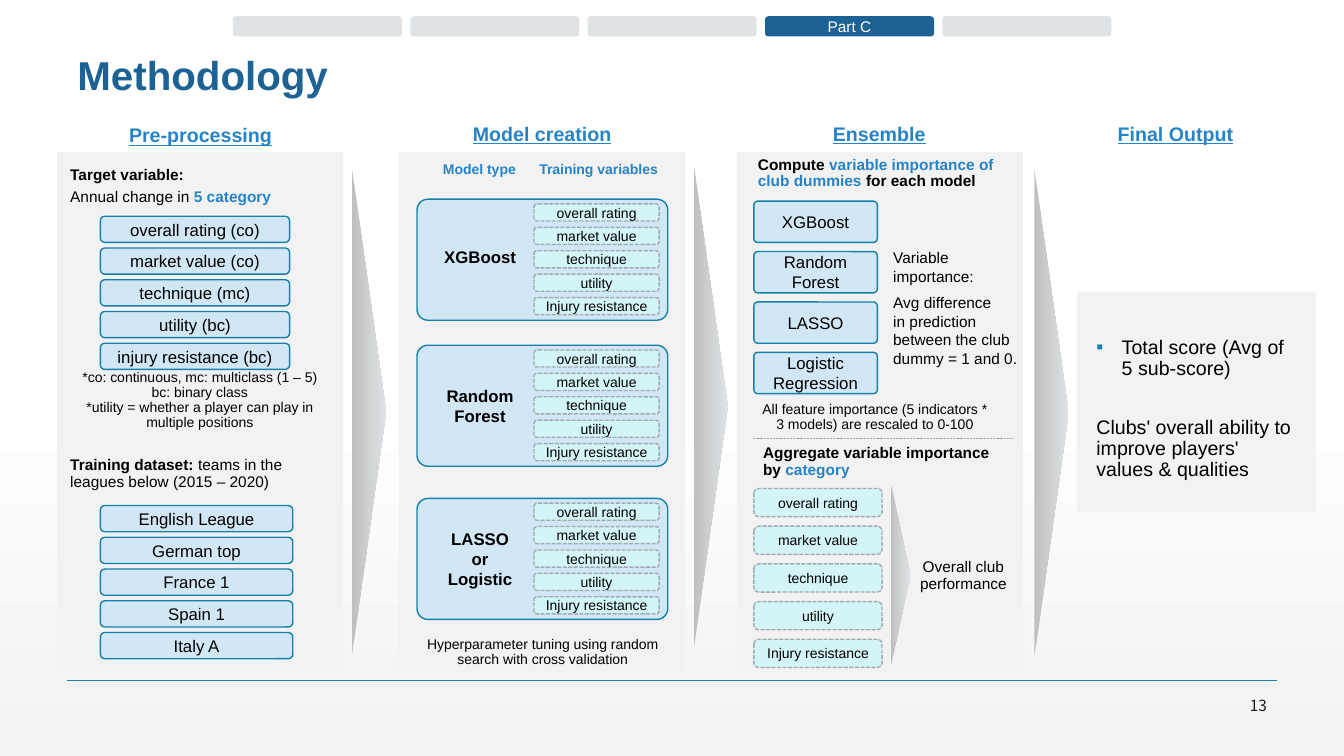
"""Build the Methodology slide: four stages from pre-processing to final output."""
from lxml import etree
from pptx import Presentation
from pptx.dml.color import RGBColor
from pptx.enum.dml import MSO_LINE
from pptx.enum.shapes import MSO_CONNECTOR, MSO_SHAPE
from pptx.enum.text import MSO_ANCHOR, PP_ALIGN
from pptx.oxml.ns import qn
from pptx.util import Cm, Pt

RECT, ROUND, ARROW = MSO_SHAPE.RECTANGLE, MSO_SHAPE.ROUNDED_RECTANGLE, MSO_SHAPE.ISOSCELES_TRIANGLE
STRAIGHT, DASH = MSO_CONNECTOR.STRAIGHT, MSO_LINE.SQUARE_DOT
LEFT, MID, RIGHT = PP_ALIGN.LEFT, PP_ALIGN.CENTER, PP_ALIGN.RIGHT
TOP, CENTER = MSO_ANCHOR.TOP, MSO_ANCHOR.MIDDLE
BLACK, WHITE, BLUE, NAVY = "000000", "FFFFFF", "2683C6", "1D6294"
PALE, EDGE, MINT, GREY = "D1E7F6", "1580A9", "D4F5F7", "A1ACB2"
PANEL, SILVER = "F2F2F2", "DFE3E5"
tint = RGBColor.from_string

deck = Presentation()
deck.slide_width, deck.slide_height = Cm(33.87), Cm(19.05)
slide = deck.slides.add_slide(deck.slide_layouts[6])
shapes = slide.shapes


def box(kind, x, y, w, h, fill, edge=None, dash=None):
    """Add a filled shape without shadow."""
    shape = shapes.add_shape(kind, Cm(x), Cm(y), Cm(w), Cm(h))
    shape.shadow.inherit = False
    shape.fill.solid()
    shape.fill.fore_color.rgb = tint(fill)
    if edge:
        shape.line.color.rgb = tint(edge)
        shape.line.width = Pt(1)
        shape.line.dash_style = dash
    else:
        shape.line.fill.background()
    shape.text_frame.margin_left = shape.text_frame.margin_right = Cm(0.15)
    return shape


def write(shape, paras, size, hue=BLACK, bold=False, align=MID, lead=0.9, anchor=TOP, face="Arial"):
    """Fill a shape with paragraphs, each a string or a list of (text, hue, bold)."""
    frame = shape.text_frame
    frame.word_wrap = True
    frame.vertical_anchor = anchor
    for i, parts in enumerate(paras):
        para = frame.add_paragraph() if i else frame.paragraphs[0]
        para.alignment = align
        para.line_spacing = lead
        para.font.name = face
        para.font.size = Pt(size)
        if isinstance(parts, str):
            para.add_run().text = parts
            para.font.color.rgb = tint(hue)
            para.font.bold = bold
            continue
        for text, shade, heavy in parts:
            run = para.add_run()
            run.text = text
            run.font.color.rgb = tint(shade)
            run.font.bold = heavy
    return frame.paragraphs


back = slide.background.fill
back.gradient()
back.gradient_angle = 270
for stop, hue, place in zip(back.gradient_stops, (WHITE, PANEL), (0.53, 1)):
    stop.color.rgb = tint(hue)
    stop.position = place

for x, y, w, h in [(1.44, 3.83, 7.21, 13.1), (10.05, 3.83, 7.21, 13.1),
                   (18.57, 3.83, 7.21, 13.1), (27.14, 7.37, 6.02, 5.54)]:
    box(RECT, x, y, w, h, PANEL)

for x1, x2, y, hue, width, dash in [(1.7, 32.18, 17.15, "1482AC", 1, None),
                                    (18.97, 25.55, 11.05, GREY, 0.5, DASH)]:
    rule = shapes.add_connector(STRAIGHT, Cm(x1), Cm(y), Cm(x2), Cm(y))
    rule.line.color.rgb = tint(hue)
    rule.line.width = Pt(width)
    rule.line.dash_style = dash
    etree.SubElement(rule._element.spPr, qn("a:effectLst"))

for x, y, w, h in [(3.18, 9.95, 12.24, 0.86), (11.79, 9.82, 12.24, 0.86),
                   (20.38, 9.98, 12.24, 0.86), (20.45, 14.25, 4.5, 0.48)]:
    arrow = box(ARROW, x, y, w, h, SILVER)
    arrow.rotation = 90
    arrow.fill.gradient()
    arrow.fill.gradient_angle = 90
    for stop, hue in zip(arrow.fill.gradient_stops, ("BFBFBF", SILVER)):
        stop.color.rgb = tint(hue)

for i, name in enumerate(["", "", "", "Part C", ""]):
    tab = box(ROUND, 5.87 + 4.47 * i, 0.41, 4.26, 0.51, NAVY if name else SILVER)
    if name:
        write(tab, [name], 11, WHITE, lead=1, anchor=CENTER)

for x, y, w, name in [(2.44, 3.05, 5.23, "Pre-processing"), (11.05, 3.02, 5.23, "Model creation"),
                      (19.29, 3.02, 5.74, "Ensemble"), (27.01, 3.02, 5.23, "Final Output")]:
    head = shapes.add_textbox(Cm(x), Cm(y), Cm(w), Cm(0.74))
    write(head, [name], 14, BLUE, True)[0].font.underline = True

goals = ["overall rating (co)", "market value (co)", "technique (mc)", "utility (bc)",
         "injury resistance (bc)"]
leagues = ["English League", "German top", "France 1", "Spain 1", "Italy A"]
models = ["XGBoost", "Random Forest", "LASSO", "Logistic Regression"]
for names, x, y, w, h, step, curve in [(goals, 2.53, 5.45, 4.77, 0.66, 0.8, 0.17),
                                       (leagues, 2.53, 12.74, 4.85, 0.66, 0.8, 0.17),
                                       (models, 19, 5.07, 3.11, 1.04, 1.27, 0.09)]:
    for i, name in enumerate(names):
        cell = box(ROUND, x, y + step * i, w, h, PALE, EDGE)
        cell.adjustments[0] = curve
        write(cell, [name], 12, lead=1, anchor=CENTER)

stacks = [(19, 12.31, 3.23, 0.71, 0.95)]
for y, lift, lines in [(5.02, 0.07, ["XGBoost"]), (8.7, 0, ["Random", "Forest"]),
                       (12.56, 0, ["LASSO", "or", "Logistic"])]:
    card = box(ROUND, 10.51, y, 6.32, 3.05, PALE, EDGE)
    card.adjustments[0] = 0.09
    label = shapes.add_textbox(Cm(10.88), Cm(y - lift), Cm(2.44), Cm(3.05))
    write(label, lines, 12, bold=True, lead=1, anchor=CENTER)
    stacks.append((13.46, y + 0.12, 3.15, 0.43, 0.59))

traits = ["overall rating", "market value", "technique", "utility", "Injury resistance"]
for x, y, w, h, step in stacks:
    for i, name in enumerate(traits):
        chip = box(ROUND, x, y + step * i, w, h, MINT, GREY, DASH)
        write(chip, [name], 10, lead=1, anchor=CENTER)

notes = [
    (1.44, 9.2, 7.19, 1.35, 10, MID, [
        "*co: continuous, mc: multiclass (1 – 5)", "bc: binary class",
        "*utility = whether a player can play in multiple positions"]),
    (1.52, 11.4, 7.21, 0.97, 11, LEFT, [
        [("Training dataset: ", BLACK, True),
         ("teams in the leagues below (2015 – 2020)", BLACK, False)]]),
    (10.57, 3.96, 3.02, 0.64, 10, MID, [[("Model type", BLUE, True)]]),
    (13.23, 3.98, 3.71, 0.64, 10, MID, [[("Training variables", BLUE, True)]]),
    (10.26, 15.94, 6.83, 0.71, 10, MID, [
        "Hyperparameter tuning using random search with cross validation"]),
    (18.85, 3.83, 6.58, 1.04, 11, LEFT, [
        [("Compute ", BLACK, True), ("variable importance of club dummies ", BLUE, True),
         ("for each model", BLACK, True)]]),
    (18.92, 10.02, 6.25, 0.66, 10, MID, [
        "All feature importance (5 indicators * 3 models) are rescaled to 0-100"]),
    (18.98, 11.1, 6.25, 0.99, 11, LEFT, [
        [("Aggregate variable importance by ", BLACK, True), ("category", BLUE, True)]]),
    (22.82, 13.97, 2.92, 1.14, 11, MID, ["Overall club performance"]),
]
for x, y, w, h, size, align, paras in notes:
    note = shapes.add_textbox(Cm(x), Cm(y), Cm(w), Cm(h))
    write(note, paras, size, align=align)

target = shapes.add_textbox(Cm(1.52), Cm(4.09), Cm(6.83), Cm(0.97))
lines = write(target, [[("Target variable:", BLACK, True)],
                       [("Annual change in ", BLACK, False), ("5 category", BLUE, True)]],
              11, align=LEFT)
lines[1].space_before = Pt(4)

meaning = shapes.add_textbox(Cm(22.26), Cm(6.13), Cm(3.68), Cm(3.3))
lines = write(meaning, ["Variable importance:", "Avg difference",
                        "in prediction between the club dummy = 1 and 0."],
              11, align=LEFT, lead=1)
lines[1].space_before = Pt(6)

result = shapes.add_textbox(Cm(27.38), Cm(7.54), Cm(5.54), Cm(5.54))
lines = write(result, ["Total score (Avg of 5 sub-score)",
                       "Clubs' overall ability to improve players' values & qualities"],
              14, align=LEFT, anchor=CENTER)
lines[1].space_before = Pt(27)
props = lines[0]._p.get_or_add_pPr()
props.set("marL", str(Cm(0.64)))
props.set("indent", str(-Cm(0.64)))
mark = etree.Element(qn("a:buClr"))
etree.SubElement(mark, qn("a:srgbClr"), val="1482AC")
style = etree.Element(qn("a:buFont"), typeface="Arial")
sign = etree.Element(qn("a:buChar"), char="▪")
for part in (mark, style, sign):
    props.find(qn("a:defRPr")).addprevious(part)

title = shapes.add_textbox(Cm(1.7), Cm(1.27), Cm(30.48), Cm(1.42))
write(title, ["Methodology"], 28.8, NAVY, True, LEFT)
page = shapes.add_textbox(Cm(29.64), Cm(17.48), Cm(2.54), Cm(0.61))
write(page, ["13"], 11, "1A1A1A", align=RIGHT, lead=1, anchor=CENTER, face="Noto Sans CJK JP")

deck.save("out.pptx")
